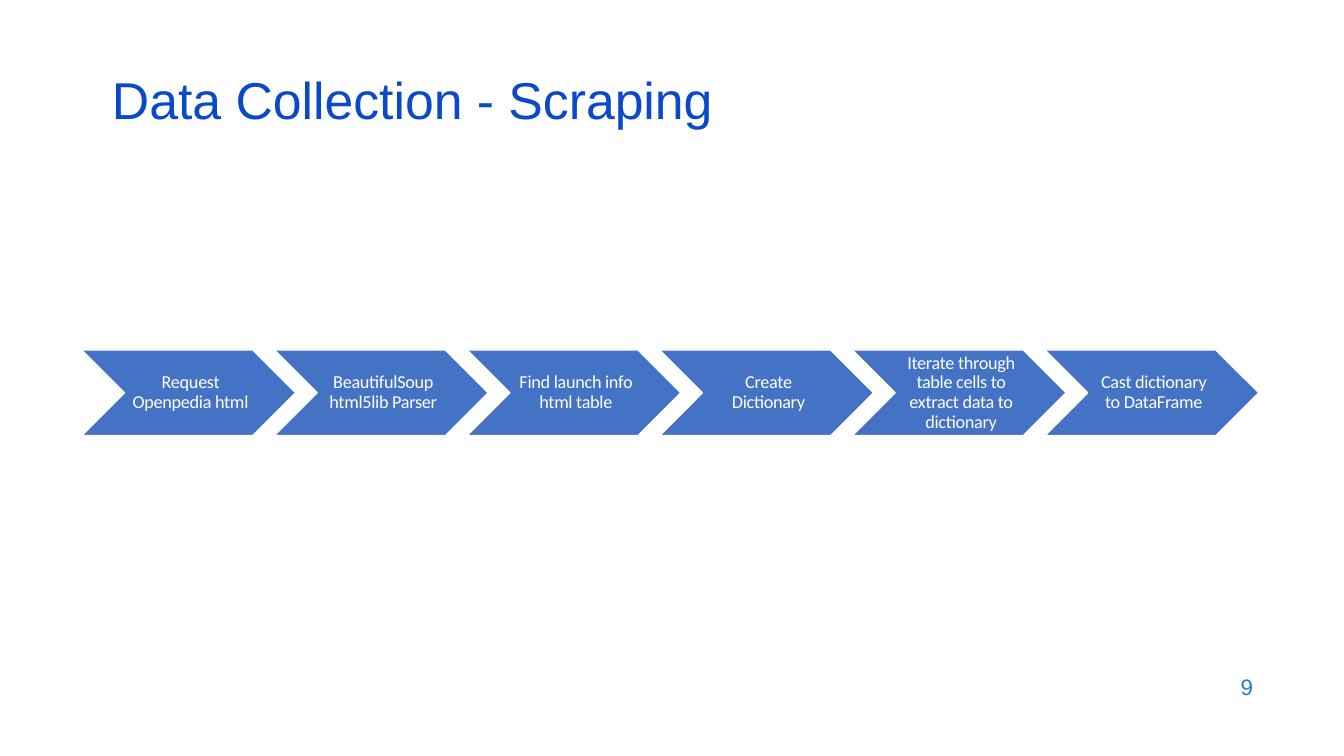
from pptx import Presentation
from pptx.dml.color import RGBColor
from pptx.enum.shapes import MSO_SHAPE as SHAPE
from pptx.enum.text import MSO_ANCHOR as ANCHOR, MSO_AUTO_SIZE as AUTO, PP_ALIGN as ALIGN
from pptx.util import Pt

STEPS = [
    "Request Openpedia html",
    "BeautifulSoup html5lib Parser",
    "Find launch info html table",
    "Create Dictionary",
    "Iterate through table cells to extract data to dictionary",
    "Cast dictionary to DataFrame",
]
LEFT, TOP, WIDTH, HEIGHT, PITCH = 58.4, 250, 152.8, 61.2, 137.6


def color(value):
    return RGBColor.from_string(value)


def write(sp, text, font, size, fill, align):
    """Fill a shape with one vertically centred paragraph and return it."""
    tf = sp.text_frame
    tf.text = text
    tf.word_wrap = True
    tf.auto_size = AUTO.NONE
    tf.vertical_anchor = ANCHOR.MIDDLE
    p = tf.paragraphs[0]
    p.alignment = align
    p.font.name, p.font.size = font, Pt(size)
    p.font.color.rgb = color(fill)
    return p


prs = Presentation()
prs.slide_width, prs.slide_height = Pt(960), Pt(540)
s = prs.slides.add_slide(prs.slide_layouts[5])

title = s.shapes.title
title.left, title.top, title.width, title.height = Pt(72.8), Pt(54.7), Pt(828), Pt(43.2)
p = write(title, "Data Collection - Scraping", "Arial", 37, "0B49CB", ALIGN.LEFT)
p.line_spacing = 0.7

for i, step in enumerate(STEPS):
    sp = s.shapes.add_shape(SHAPE.CHEVRON, Pt(LEFT + i * PITCH), Pt(TOP), Pt(WIDTH), Pt(HEIGHT))
    sp.shadow.inherit = False
    sp.fill.solid()
    sp.fill.fore_color.rgb = color("4472C4")
    sp.line.color.rgb = color("FFFFFF")
    sp.line.width = Pt(1)
    p = write(sp, step, "Calibri", 13, "FFFFFF", ALIGN.CENTER)
    p.line_spacing = 0.9
    p.runs[0].font._element.set("spc", "-20")
    tf = sp.text_frame
    tf.margin_left = Pt(4)
    tf.margin_top = tf.margin_right = tf.margin_bottom = Pt(1.3)

number = s.shapes.add_textbox(Pt(686.2), Pt(474.5), Pt(216), Pt(31.7))
write(number, "9", "Arial", 16, "1C7DDB", ALIGN.RIGHT)

prs.save("out.pptx")
